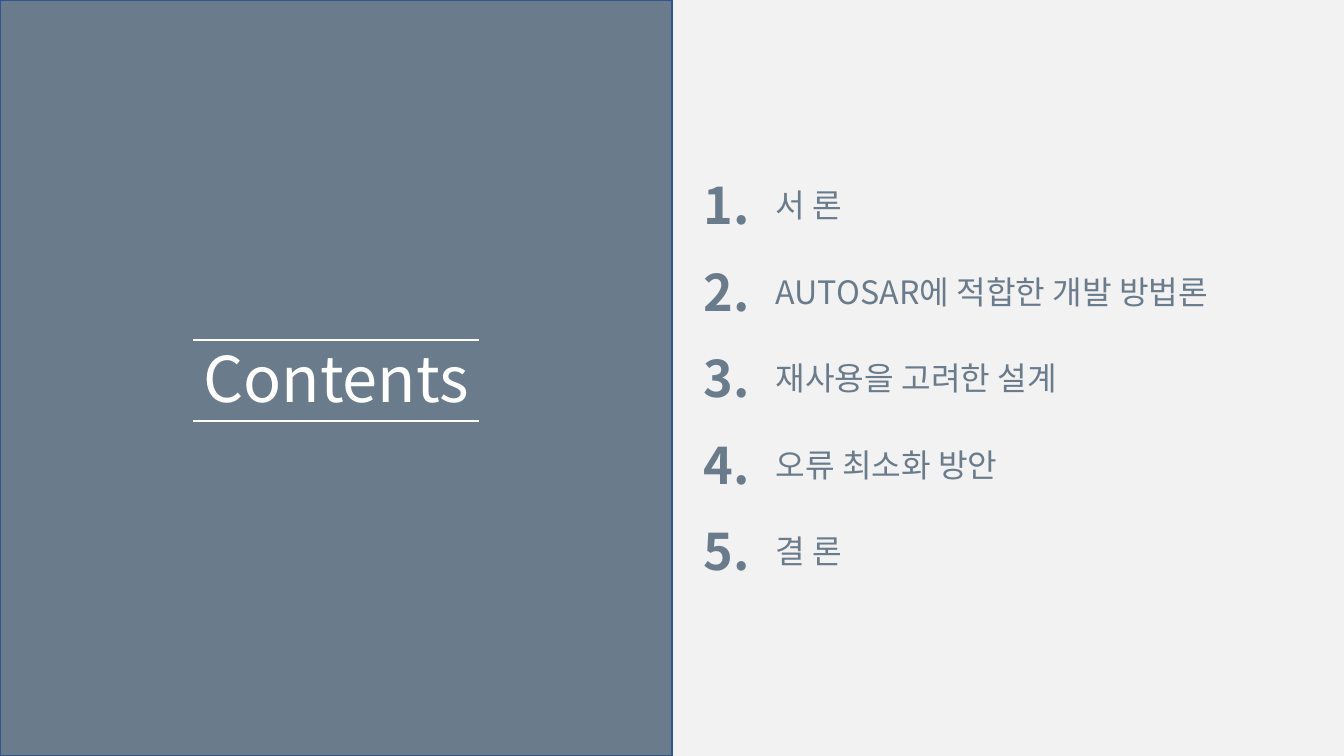
import dataclasses

import pptx
import pptx.dml.color
import pptx.enum.shapes
import pptx.enum.text
import pptx.oxml
import pptx.oxml.ns
import pptx.util

ALIGN = pptx.enum.text.PP_ALIGN


@dataclasses.dataclass(frozen=True)
class Theme:
    font: str = "Noto Sans CJK KR"
    slate: str = "6A7B8B"
    edge: str = "325491"
    pale: str = "F2F2F2"
    white: str = "FFFFFF"
    title: float = 45
    number: float = 36
    topic: float = 23


THEME = Theme()
WIDTH, HEIGHT = 13.33, 7.5
TOPICS = [
    "서 론",
    "AUTOSAR에 적합한 개발 방법론",
    "재사용을 고려한 설계",
    "오류 최소화 방안",
    "결 론",
]


def rgb(value):
    return pptx.dml.color.RGBColor.from_string(value)


def inches(*values):
    return [pptx.util.Inches(v) for v in values]


def add_panel(slide, box, fill, line=None):
    sp = slide.shapes.add_shape(
        pptx.enum.shapes.MSO_SHAPE.RECTANGLE, *inches(*box))
    sp.shadow.inherit = False
    sp.fill.solid()
    sp.fill.fore_color.rgb = rgb(fill)
    if line:
        sp.line.color.rgb = rgb(line)
        sp.line.width = pptx.util.Pt(1)
    else:
        sp.line.fill.background()


def add_text(slide, text, box, size, color, bold=False, align=ALIGN.LEFT):
    tf = slide.shapes.add_textbox(*inches(*box)).text_frame
    tf.word_wrap = True
    tf.auto_size = pptx.enum.text.MSO_AUTO_SIZE.SHAPE_TO_FIT_TEXT
    p = tf.paragraphs[0]
    p.alignment = align
    r = p.add_run()
    r.text = text
    r.font.name = THEME.font
    r.font.size = pptx.util.Pt(size)
    r.font.bold = bold
    r.font.color.rgb = rgb(color)
    ea = pptx.oxml.parse_xml(
        f'<a:ea {pptx.oxml.ns.nsdecls("a")} typeface="{THEME.font}"/>')
    r.font._element.find(pptx.oxml.ns.qn("a:latin")).addnext(ea)


def add_rule(slide, x1, x2, y):
    line = slide.shapes.add_connector(
        pptx.enum.shapes.MSO_CONNECTOR.STRAIGHT, *inches(x1, y, x2, y))
    line.line.color.rgb = rgb(THEME.white)
    line.line.width = pptx.util.Pt(1.25)
    line._element.spPr.append(pptx.oxml.parse_xml(
        f'<a:effectLst {pptx.oxml.ns.nsdecls("a")}/>'))


def add_title_panel(slide, box):
    x, y, w, h = box
    add_panel(slide, box, THEME.slate, THEME.edge)
    title_w, rule_w = 3.1, 2.83
    add_text(slide, "Contents", (x + (w - title_w) / 2, y + 3.32, title_w, 0.86),
             THEME.title, THEME.white, align=ALIGN.CENTER)
    left = x + (w - rule_w) / 2
    for rule_y in (3.37, 4.18):
        add_rule(slide, left, left + rule_w, y + rule_y)


def add_topic_panel(slide, box, topics):
    x, y, w, h = box
    add_panel(slide, box, THEME.pale)
    first, pitch = y + 1.68, 0.858
    for i, topic in enumerate(topics):
        top = first + i * pitch
        add_text(slide, f"{i + 1}. ", (x + 0.13, top, 0.94, 0.71),
                 THEME.number, THEME.slate, bold=True, align=ALIGN.CENTER)
        add_text(slide, topic, (x + 0.93, top + 0.11, 5, 0.49),
                 THEME.topic, THEME.slate)


def main():
    prs = pptx.Presentation()
    prs.slide_width, prs.slide_height = inches(WIDTH, HEIGHT)
    slide = prs.slides.add_slide(prs.slide_layouts[6])
    half = WIDTH / 2
    add_topic_panel(slide, (half, 0, half, HEIGHT), TOPICS)
    add_title_panel(slide, (0, 0, half, HEIGHT))
    prs.save("out.pptx")


if __name__ == "__main__":
    main()
